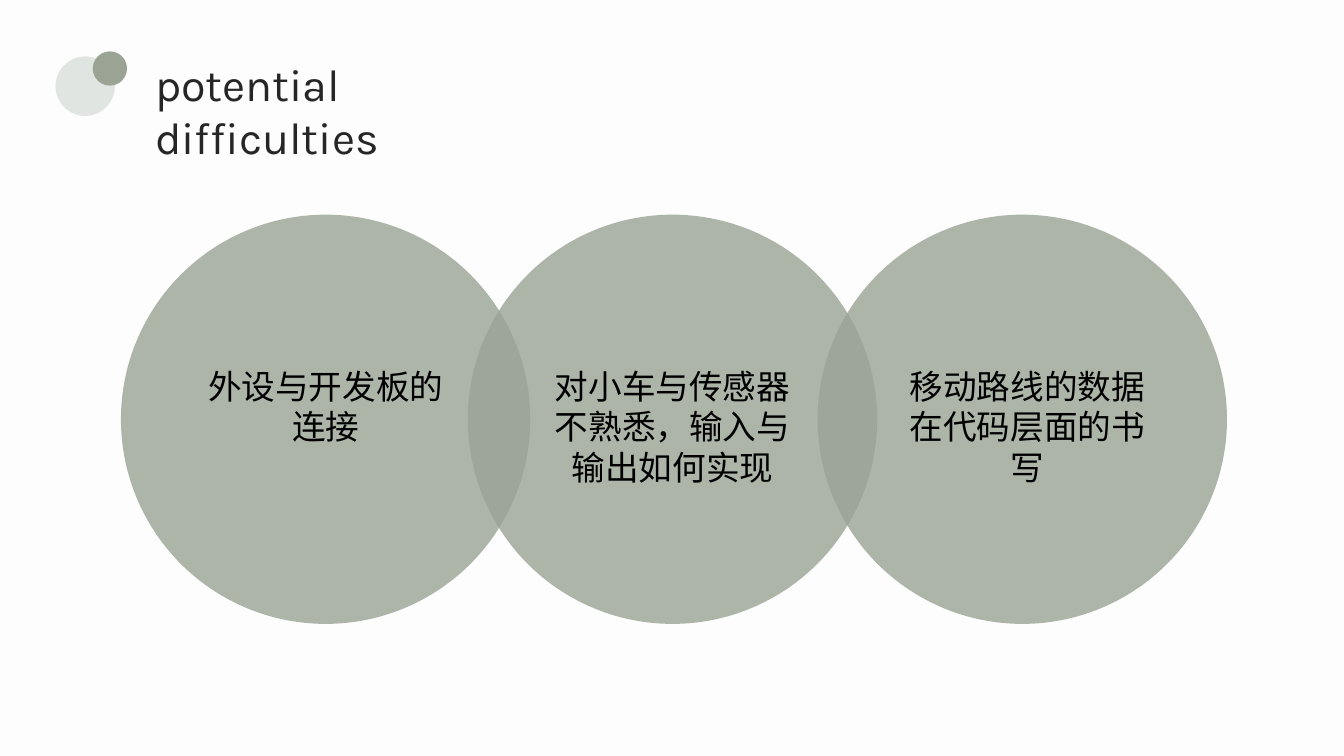
from lxml import etree
from pptx import Presentation
from pptx.dml.color import RGBColor
from pptx.enum.shapes import MSO_SHAPE
from pptx.enum.text import MSO_AUTO_SIZE, PP_ALIGN
from pptx.oxml.ns import qn
from pptx.util import Inches, Pt

OVAL = MSO_SHAPE.OVAL
GROW = MSO_AUTO_SIZE.SHAPE_TO_FIT_TEXT
LEFT, CENTER = PP_ALIGN.LEFT, PP_ALIGN.CENTER

COLORS = {
    "background": "FDFDFD",
    "pale": "E1E5E2",
    "sage": "9AA394",
    "title": "262626",
    "body": "000000",
}
CIRCLE_TOP, CIRCLE_SIZE = 2.13, 4.06
LABEL_TOP, LABEL_WIDTH = 3.58, 2.7

# Circle left, label left, label height, label text
DIFFICULTIES = [
    (1.2, 1.88, 1.31, "外设与开发板的连接"),
    (4.64, 5.32, 1.72, "对小车与传感器不熟悉，输入与输出如何实现"),
    (8.11, 8.84, 1.72, "移动路线的数据在代码层面的书写"),
]


def rgb(name):
    return RGBColor.from_string(COLORS[name])


def add_circle(shapes, left, top, size, color, opacity=100):
    s = shapes.add_shape(OVAL, Inches(left), Inches(top), Inches(size), Inches(size))
    s.shadow.inherit = False
    s.fill.solid()
    s.fill.fore_color.rgb = rgb(color)
    s.line.fill.background()
    if opacity < 100:
        clr = s._element.spPr.find(qn("a:solidFill"))[0]
        etree.SubElement(clr, qn("a:alpha")).set("val", str(opacity * 1000))


def add_text(shapes, left, top, width, height, text, font, size, color, align):
    s = shapes.add_textbox(Inches(left), Inches(top), Inches(width), Inches(height))
    tf = s.text_frame
    tf.word_wrap = True
    tf.auto_size = GROW
    p = tf.paragraphs[0]
    p.text = text
    p.alignment = align
    p.font.name = font
    p.font.size = Pt(size)
    p.font.color.rgb = rgb(color)
    # East Asian characters take their own typeface
    latin = p._p.pPr.find(qn("a:defRPr")).find(qn("a:latin"))
    ea = etree.Element(qn("a:ea"), typeface=font)
    latin.addnext(ea)


def main():
    prs = Presentation()
    prs.slide_width, prs.slide_height = Inches(13.33), Inches(7.5)
    slide = prs.slides.add_slide(prs.slide_layouts[6])
    slide.background.fill.solid()
    slide.background.fill.fore_color.rgb = rgb("background")

    # Title with its pair of dots
    add_text(slide.shapes, 1.44, 0.51, 3.96, 0.64, "potential difficulties",
             "Karla", 32, "title", LEFT)
    dots = slide.shapes.add_group_shape()
    add_circle(dots.shapes, 0.55, 0.56, 0.59, "pale")
    add_circle(dots.shapes, 0.92, 0.51, 0.34, "sage")

    # Overlapping circles, then their labels on top
    for circle_left, *_ in DIFFICULTIES:
        add_circle(slide.shapes, circle_left, CIRCLE_TOP, CIRCLE_SIZE, "sage", 80)
    for _, label_left, height, text in DIFFICULTIES:
        add_text(slide.shapes, label_left, LABEL_TOP, LABEL_WIDTH, height, text,
                 "Noto Sans CJK SC", 24, "body", CENTER)

    prs.save("out.pptx")


main()
